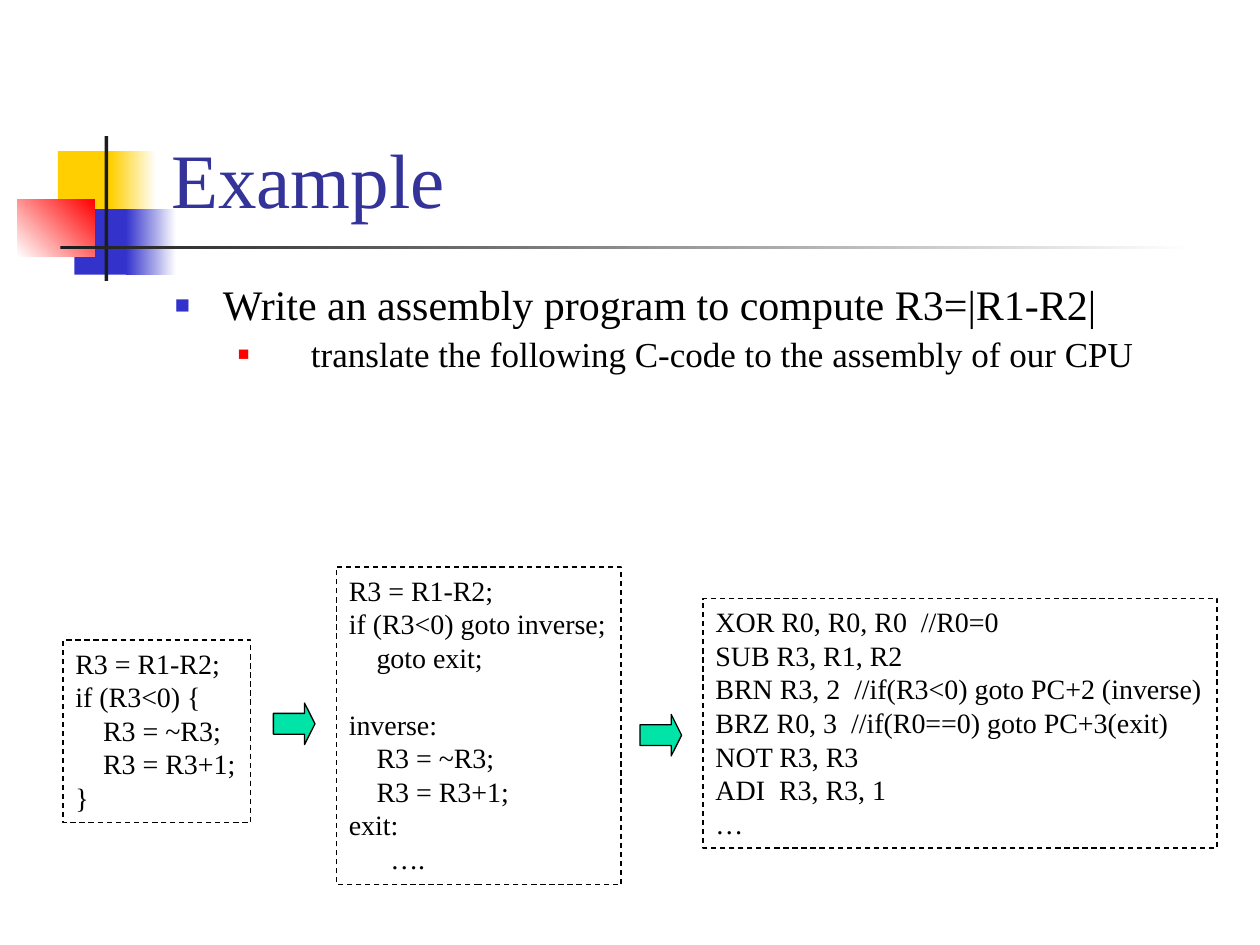
from lxml.etree import SubElement
from pptx import Presentation
from pptx.dml.color import RGBColor
from pptx.enum.dml import MSO_LINE
from pptx.enum.shapes import MSO_SHAPE as Shape
from pptx.enum.text import MSO_ANCHOR, PP_ALIGN
from pptx.oxml.ns import qn
from pptx.util import Inches, Pt

FONT = "Times New Roman"
BLACK = RGBColor(0x00, 0x00, 0x00)
WHITE = RGBColor(0xFF, 0xFF, 0xFF)
YELLOW = RGBColor(0xFF, 0xCF, 0x01)
BLUE = RGBColor(0x33, 0x33, 0xCC)
RED = RGBColor(0xFF, 0x00, 0x00)
CHARCOAL = RGBColor(0x1C, 0x1C, 0x1C)
NAVY = RGBColor(0x33, 0x33, 0x99)
GREEN = RGBColor(0x00, 0xE4, 0xA8)

TITLE = "Example"
# left, top, width, height, colours (two make a gradient), gradient angle
ORNAMENTS = [
    (0.46, 1.2, 0.48, 0.52, [YELLOW], 0),
    (0.88, 1.2, 0.36, 0.52, [YELLOW, WHITE], 0),
    (0.59, 1.66, 0.46, 0.52, [BLUE], 0),
    (1, 1.66, 0.4, 0.52, [BLUE, WHITE], 0),
    (0.14, 1.58, 0.61, 0.46, [WHITE, RED], 45),
    (0.83, 1.08, 0.03, 1.15, [CHARCOAL], 0),
    (0.48, 1.95, 9, 0.03, [CHARCOAL, WHITE], 0),
]
# text, size, level, margin, hanging indent, bullet colour, bullet percent
BULLETS = [
    ("Write an assembly program to compute R3=|R1-R2|", 24, 0, 0.38, 0.38, BLUE, 60),
    ("translate the following C-code to the assembly of our CPU", 20, 1, 1.08, 0.58, RED, 55),
]
CODE_SIZE = 16
BLANK_LINE = Pt(19)
STEP = 0.22  # one code indent
# place, then lines as (indent steps, text)
CODE_BOXES = [
    ((0.5, 5.08, 1.49, 1.45), [
        (0, "R3 = R1-R2;"), (0, "if (R3<0) {"), (1, "R3 = ~R3;"),
        (1, "R3 = R3+1;"), (0, "}")]),
    ((2.67, 4.5, 2.26, 2.52), [
        (0, "R3 = R1-R2;"), (0, "if (R3<0) goto inverse;"), (1, "goto exit;"),
        (0, "inverse:"), (1, "R3 = ~R3;"), (1, "R3 = R3+1;"),
        (0, "exit:"), (1.5, "….")]),
    ((5.58, 4.75, 4.08, 1.98), [
        (0, "XOR R0, R0, R0  //R0=0"), (0, "SUB R3, R1, R2"),
        (0, "BRN R3, 2  //if(R3<0) goto PC+2 (inverse)"),
        (0, "BRZ R0, 3  //if(R0==0) goto PC+3(exit)"),
        (0, "NOT R3, R3"), (0, "ADI  R3, R3, 1"), (0, "…")]),
]
SPACED_LINE = "inverse:"
ARROWS = [(2.17, 5.58), (5.08, 5.67)]
ARROW_SIZE = 0.33


def inches(*lengths):
    return [Inches(length) for length in lengths]


def add_plain_shape(page, kind, place):
    shape = page.shapes.add_shape(kind, *inches(*place))
    shape.shadow.inherit = False
    return shape


def paint(shape, colours, angle=0):
    if len(colours) == 1:
        shape.fill.solid()
        shape.fill.fore_color.rgb = colours[0]
        return
    shape.fill.gradient()
    shape.fill.gradient_angle = angle
    for stop, colour, position in zip(shape.fill.gradient_stops, colours, (0, 1)):
        stop.color.rgb = colour
        stop.position = position


def outline(shape):
    shape.line.color.rgb = BLACK
    shape.line.width = Pt(0.75)


def write(para, text, size, colour=BLACK):
    para.text = text
    para.alignment = PP_ALIGN.LEFT
    font = para.runs[0].font
    font.name, font.size = FONT, Pt(size)
    font.color.rgb = colour


def paragraphs(frame, count):
    """Return count paragraphs, the first being the one the frame already has."""
    return [frame.paragraphs[0]] + [frame.add_paragraph() for _ in range(count - 1)]


def add_bullet(para, margin, hanging, colour, percent):
    props = para._p.get_or_add_pPr()
    props.set("marL", str(Inches(margin)))
    props.set("indent", str(-Inches(hanging)))
    bullet_colour = SubElement(props, qn("a:buClr"))
    SubElement(bullet_colour, qn("a:srgbClr"), val=str(colour))
    SubElement(props, qn("a:buSzPct"), val=str(percent * 1000))
    SubElement(props, qn("a:buFont"), typeface=FONT)
    SubElement(props, qn("a:buChar"), char="■")


def add_title(page):
    title = page.shapes.title
    title.left, title.top, title.width, title.height = inches(1.26, 0.23, 8.52, 1.6)
    title.text_frame.vertical_anchor = MSO_ANCHOR.BOTTOM
    write(title.text_frame.paragraphs[0], TITLE, 44, NAVY)


def add_body(page):
    frame = page.shapes.add_textbox(*inches(1.29, 2.21, 8.5, 1.38)).text_frame
    frame.word_wrap = True
    for para, bullet in zip(paragraphs(frame, len(BULLETS)), BULLETS):
        text, size, level, *style = bullet
        write(para, text, size)
        para.level = level
        para.line_spacing = 0.9
        para.space_before = Pt(size * 0.2)
        add_bullet(para, *style)


def add_code_box(page, place, lines):
    box = add_plain_shape(page, Shape.RECTANGLE, place)
    box.fill.background()
    outline(box)
    box.line.dash_style = MSO_LINE.DASH
    frame = box.text_frame
    frame.word_wrap = False
    frame.vertical_anchor = MSO_ANCHOR.TOP
    for para, (steps, text) in zip(paragraphs(frame, len(lines)), lines):
        write(para, text, CODE_SIZE)
        para._p.get_or_add_pPr().set("marL", str(Inches(steps * STEP)))
        if text == SPACED_LINE:
            para.space_before = BLANK_LINE


def add_arrow(page, left, top):
    arrow = add_plain_shape(page, Shape.RIGHT_ARROW, (left, top, ARROW_SIZE, ARROW_SIZE))
    arrow.adjustments[0], arrow.adjustments[1] = 0.5, 0.25
    paint(arrow, [GREEN])
    outline(arrow)


def main():
    deck = Presentation()
    deck.slide_width, deck.slide_height = inches(10, 7.5)
    page = deck.slides.add_slide(deck.slide_layouts[5])
    for *place, colours, angle in ORNAMENTS:
        ornament = add_plain_shape(page, Shape.RECTANGLE, place)
        paint(ornament, colours, angle)
        ornament.line.fill.background()
    add_title(page)
    add_body(page)
    for place, lines in CODE_BOXES:
        add_code_box(page, place, lines)
    for left, top in ARROWS:
        add_arrow(page, left, top)
    deck.save("out.pptx")


if __name__ == "__main__":
    main()
